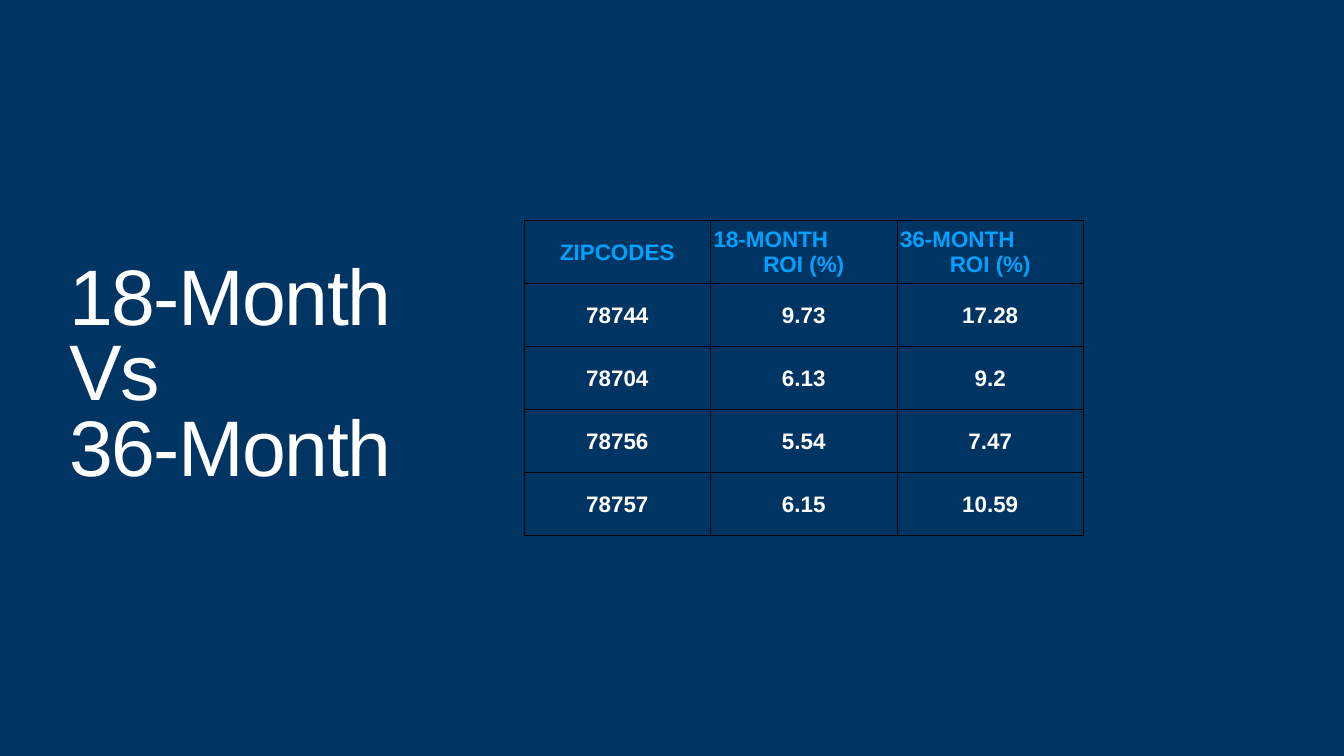
from pptx import Presentation, util as u
from pptx.dml.color import RGBColor
from pptx.enum import text
from pptx.oxml import parse_xml
from pptx.oxml.ns import nsdecls

PX = 9144  # EMU per px, 100 px to the inch
NAVY, WHITE, BLUE, BLACK = "003462", "FFFFFF", "00A2FF", "000000"
LEFT, MID = text.PP_ALIGN.LEFT, text.PP_ALIGN.CENTER
HEAD = ["ZIPCODES", "18-MONTH\nROI (%)", "36-MONTH\nROI (%)"]
ROWS = [
    ["78744", "9.73", "17.28"],
    ["78704", "6.13", "9.2"],
    ["78756", "5.54", "7.47"],
    ["78757", "6.15", "10.59"],
]


def px(n):
    return u.Emu(n * PX)


def rgb(code):
    return RGBColor.from_string(code)


class Deck:
    font = "Arial"
    inset = 6

    def __init__(self, wide, high):
        self.prs = Presentation()
        self.prs.slide_width, self.prs.slide_height = px(wide), px(high)

    def page(self, color):
        self.slide = self.prs.slides.add_slide(self.prs.slide_layouts[5])
        fill = self.slide.background.fill
        fill.solid()
        fill.fore_color.rgb = rgb(color)

    def style(self, para, size, color, align, bold=False):
        para.alignment = align
        font = para.font
        font.name, font.size, font.bold = self.font, u.Pt(size), bold
        font.color.rgb = rgb(color)

    def pad(self, item):
        """Give a cell or text frame equal margins and centre it vertically."""
        for side in ("left", "top", "right", "bottom"):
            setattr(item, f"margin_{side}", px(self.inset))
        item.vertical_anchor = text.MSO_ANCHOR.MIDDLE

    def title(self, words, x, y, w, h, size):
        box = self.slide.shapes.title
        box.left, box.top, box.width, box.height = map(px, (x, y, w, h))
        frame = box.text_frame
        frame.text = words
        frame.word_wrap = True
        frame.auto_size = text.MSO_AUTO_SIZE.NONE
        self.pad(frame)
        for para in frame.paragraphs:
            self.style(para, size, WHITE, LEFT)
            para.line_spacing = 0.8
            for run in para.runs:
                run.font._element.set("spc", "-225")

    def edge(self, cell, color, width):
        props = cell._tc.get_or_add_tcPr()
        for i, side in enumerate("LRTB"):
            props.insert(i, parse_xml(
                f'<a:ln{side} {nsdecls("a")} w="{u.Pt(width)}"><a:solidFill>'
                f'<a:srgbClr val="{color}"/></a:solidFill></a:ln{side}>'))

    def table(self, rows, x, y, wide, high, size):
        """Draw rows in equal cells of wide by high px, the first as header."""
        cols = len(rows[0])
        grid = self.slide.shapes.add_table(
            len(rows), cols, px(x), px(y),
            px(wide * cols), px(high * len(rows))).table
        grid.horz_banding = False
        for r, row in enumerate(rows):
            for c, words in enumerate(row):
                cell = grid.cell(r, c)
                cell.text = words
                cell.fill.solid()
                cell.fill.fore_color.rgb = rgb(NAVY)
                self.pad(cell)
                self.edge(cell, BLACK, 1)
                paras = cell.text_frame.paragraphs
                for para in paras:
                    # The upper line of a two-line heading starts at the left.
                    align = MID if para.text == paras[-1].text else LEFT
                    self.style(para, size, WHITE if r else BLUE, align, True)


def main():
    deck = Deck(2667, 1500)
    deck.page(NAVY)
    deck.title("18-Month\nVs\n36-Month", 132, 496, 2403, 508, 112.5)
    deck.table([HEAD] + ROWS, 1040, 438, 370, 125, 32)
    deck.prs.save("out.pptx")


if __name__ == "__main__":
    main()
